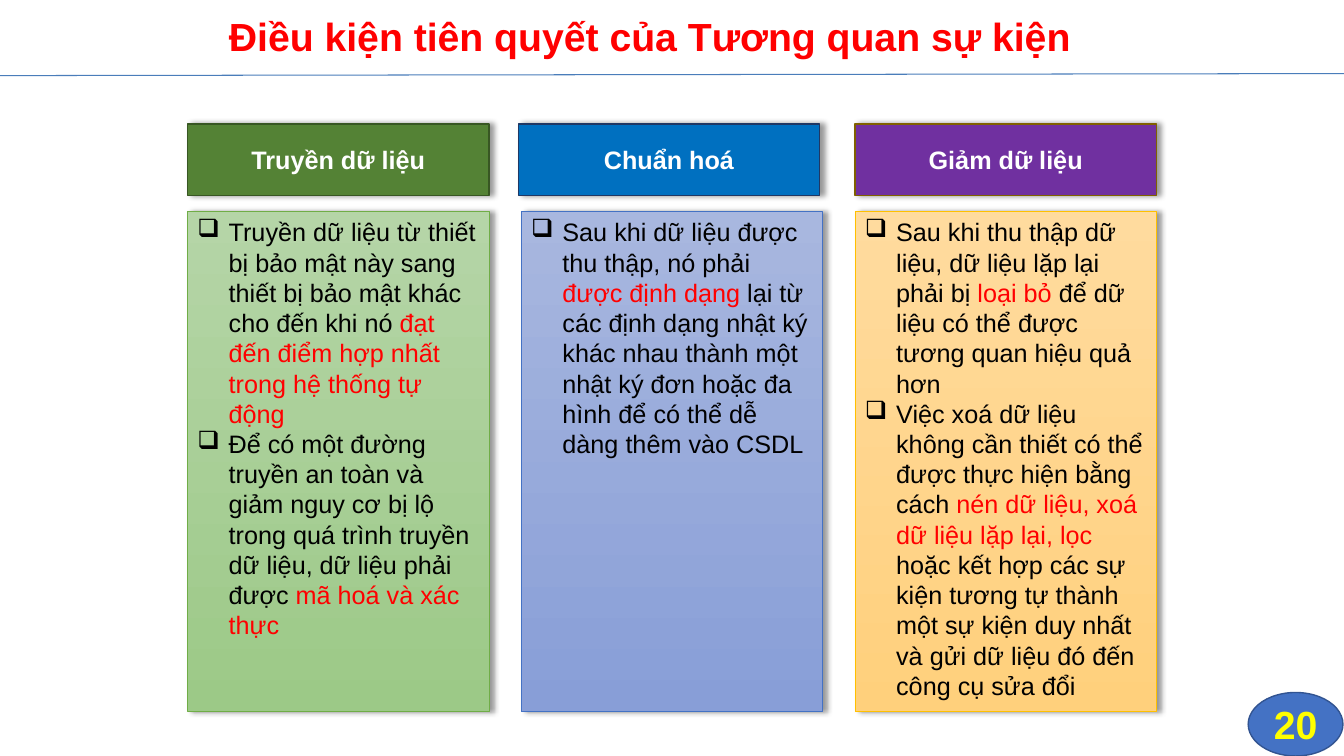
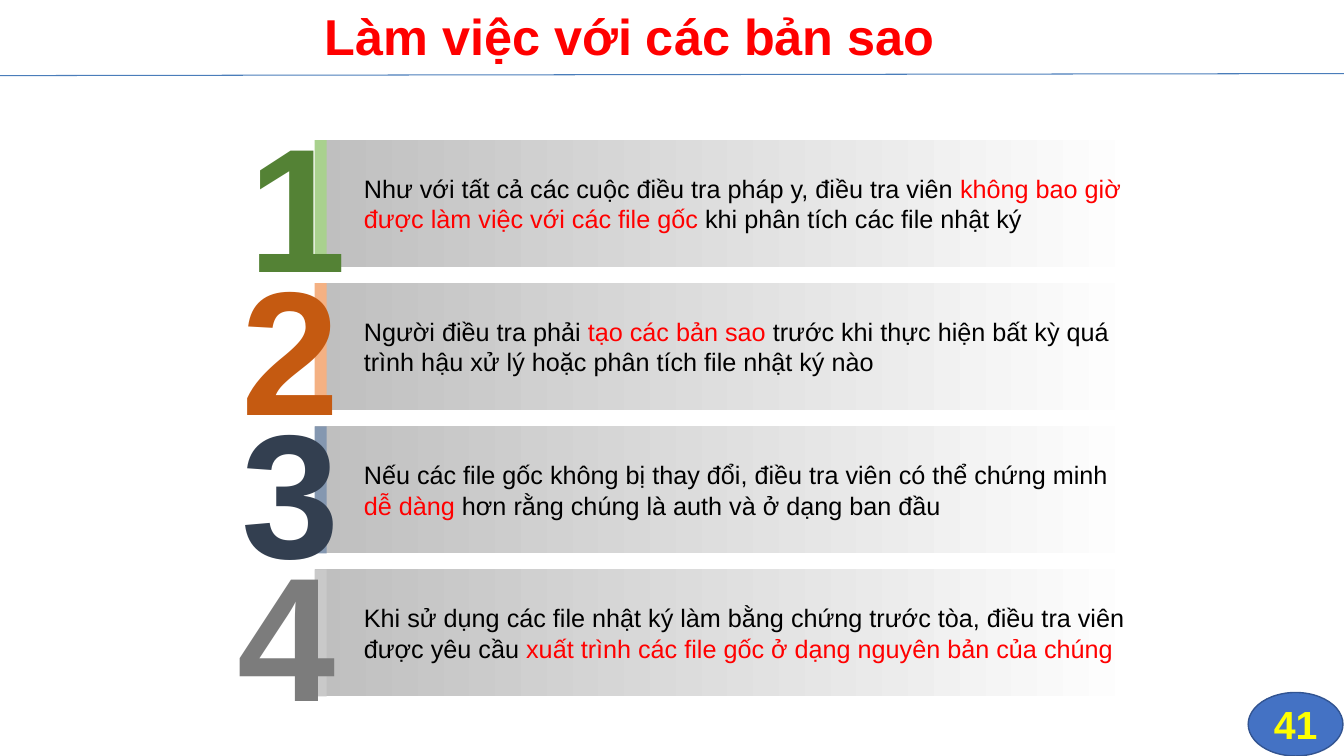
import pptx
import pptx.util
import pptx.dml.color
import pptx.enum.shapes
import pptx.enum.text
import pptx.oxml
import pptx.oxml.ns

Inches = pptx.util.Inches
Pt = pptx.util.Pt
SHAPE = pptx.enum.shapes.MSO_SHAPE
ALIGN = pptx.enum.text.PP_ALIGN
ANCHOR = pptx.enum.text.MSO_ANCHOR

FONT = "Arial"
RED, BLACK, WHITE, YELLOW = "FF0000", "000000", "FFFFFF", "FFFF00"
BADGE_FILL, BADGE_LINE, RULE = "4472C4", "325491", "4A7DBA"
SLIDE_W = 13.33

# heading, heading left, heading fill and line, body gradient, body line, items;
# in the items, every second part between bars is highlighted
COLUMNS = [
    ("Truyền dữ liệu", 1.86, "548235", "385723", ("B5D5A7", "9CC987"), "70AD47",
     ["Truyền dữ liệu từ thiết bị bảo mật này sang thiết bị bảo mật khác cho đến khi nó "
      "|đạt đến điểm hợp nhất trong hệ thống tự động",
      "Để có một đường truyền an toàn và giảm nguy cơ bị lộ trong quá trình truyền dữ liệu, "
      "dữ liệu phải được |mã hoá và xác thực"]),
    ("Chuẩn hoá", 5.14, "0070C0", "203864", ("A8B7DF", "889ED7"), "4472C4",
     ["Sau khi dữ liệu được thu thập, nó phải |được định dạng |lại từ các định dạng nhật ký "
      "khác nhau thành một nhật ký đơn hoặc đa hình để có thể dễ dàng thêm vào CSDL"]),
    ("Giảm dữ liệu", 8.48, "7030A0", "806000", ("FFDB9E", "FFD07C"), "FFC000",
     ["Sau khi thu thập dữ liệu, dữ liệu lặp lại phải bị |loại bỏ |để dữ liệu có thể được "
      "tương quan hiệu quả hơn",
      "Việc xoá dữ liệu không cần thiết có thể được thực hiện bằng cách "
      "|nén dữ liệu, xoá dữ liệu lặp lại, lọc |hoặc kết hợp các sự kiện tương tự thành "
      "một sự kiện duy nhất và gửi dữ liệu đó đến công cụ sửa đổi"]),
]

# number left, number colour, bar colour, text
ROWS = [
    (2.37, "548235", "A9D18E",
     "Như với tất cả các cuộc điều tra pháp y, điều tra viên |không bao giờ được làm việc "
     "với các file gốc |khi phân tích các file nhật ký"),
    (2.30, "C55A11", "F4B183",
     "Người điều tra phải |tạo các bản sao |trước khi thực hiện bất kỳ quá trình hậu xử lý "
     "hoặc phân tích file nhật ký nào"),
    (2.30, "333F50", "8497B0",
     "Nếu các file gốc không bị thay đổi, điều tra viên có thể chứng minh |dễ dàng "
     "|hơn rằng chúng là auth và ở dạng ban đầu"),
    (2.26, "7C7C7C", "C9C9C9",
     "Khi sử dụng các file nhật ký làm bằng chứng trước tòa, điều tra viên được yêu cầu "
     "|xuất trình các file gốc ở dạng nguyên bản của chúng"),
]


def rgb(color):
    return pptx.dml.color.RGBColor.from_string(color)


def style_font(font, size, color, bold=False):
    font.name = FONT
    font.size = Pt(size)
    font.bold = bold
    font.color.rgb = rgb(color)


def add_box(s, shape, left, top, width, height, fill, line=None, line_width=1):
    """Add a preset shape; fill is one colour, or a pair for a gradient."""
    sp = s.shapes.add_shape(shape, Inches(left), Inches(top), Inches(width), Inches(height))
    sp.shadow.inherit = False
    if isinstance(fill, tuple):
        sp.fill.gradient()
        for stop, color in zip(sp.fill.gradient_stops, fill):
            stop.color.rgb = rgb(color)
    else:
        sp.fill.solid()
        sp.fill.fore_color.rgb = rgb(fill)
    if line:
        sp.line.color.rgb = rgb(line)
        sp.line.width = Pt(line_width)
    else:
        sp.line.fill.background()
    return sp


def add_shadow(sp):
    effects = sp._element.spPr.find(pptx.oxml.ns.qn("a:effectLst"))
    effects.append(pptx.oxml.parse_xml(
        f'<a:outerShdw {pptx.oxml.ns.nsdecls("a")} blurRad="{Pt(4)}" dist="{Pt(3)}" dir="0" '
        'algn="l" rotWithShape="0"><a:srgbClr val="000000"><a:alpha val="40000"/></a:srgbClr>'
        '</a:outerShdw>'))


def set_label(sp, text, size, color):
    tf = sp.text_frame
    tf.text = text
    tf.vertical_anchor = ANCHOR.MIDDLE
    p = tf.paragraphs[0]
    p.alignment = ALIGN.CENTER
    style_font(p.runs[0].font, size, color, bold=True)


def set_marked_text(p, text, margin, bullet=None):
    """Fill a paragraph, with every second part between bars in red."""
    p.alignment = ALIGN.LEFT
    pPr = p._p.get_or_add_pPr()
    pPr.set("marL", str(Inches(margin)))
    if bullet:
        pPr.set("indent", str(-Inches(margin)))
        pPr.append(pptx.oxml.parse_xml(
            f'<a:buChar {pptx.oxml.ns.nsdecls("a")} char="{bullet}"/>'))
    for i, part in enumerate(text.split("|")):
        r = p.add_run()
        r.text = part
        style_font(r.font, 18, RED if i % 2 else BLACK)


def add_slide(prs, title, title_left, title_size, number):
    """Add a slide with its title, rule and number badge."""
    s = prs.slides.add_slide(prs.slide_layouts[5])
    sp = s.shapes.title
    sp.left, sp.top, sp.width, sp.height = (Inches(v) for v in (title_left, 0, 9, 0.77))
    tf = sp.text_frame
    tf.text = title
    tf.vertical_anchor = ANCHOR.MIDDLE
    p = tf.paragraphs[0]
    p.alignment = ALIGN.LEFT
    p.line_spacing = 0.9
    style_font(p.runs[0].font, title_size, RED, bold=True)

    rule = s.shapes.add_connector(pptx.enum.shapes.MSO_CONNECTOR.STRAIGHT,
                                  0, Inches(0.75), Inches(SLIDE_W), Inches(0.73))
    rule.line.color.rgb = rgb(RULE)
    rule.line.width = Pt(0.75)
    rule._element.spPr.append(pptx.oxml.parse_xml(
        f'<a:effectLst {pptx.oxml.ns.nsdecls("a")}/>'))

    badge = add_box(s, SHAPE.OVAL, 12.38, 6.87, 0.94, 0.63, BADGE_FILL, BADGE_LINE)
    set_label(badge, number, 28, YELLOW)
    return s


def add_column(s, left, heading, heading_left, fill, line, body_fill, body_line, items):
    width = 2.99
    body = add_box(s, SHAPE.RECTANGLE, left, 2.1, width, 4.96, body_fill, body_line, 0.5)
    body.fill.gradient_angle = 270
    add_shadow(body)
    tf = body.text_frame
    tf.vertical_anchor = ANCHOR.TOP
    for i, item in enumerate(items):
        p = tf.add_paragraph() if i else tf.paragraphs[0]
        set_marked_text(p, item, 0.31, "❑")

    head = add_box(s, SHAPE.RECTANGLE, heading_left, 1.23, width, 0.71, fill, line)
    add_shadow(head)
    set_label(head, heading, 18, WHITE)


def add_numbered_row(s, top, number, number_left, number_color, bar_color, text):
    left, height = 3.12, 1.26
    band = add_box(s, SHAPE.RECTANGLE, left, top, 8.19, height, ("BFBFBF", "FFFFFF"))
    band.fill.gradient_angle = 0
    band.text_frame.vertical_anchor = ANCHOR.MIDDLE
    set_marked_text(band.text_frame.paragraphs[0], text, 0.39)
    add_box(s, SHAPE.RECTANGLE, left, top, 0.12, height, bar_color)

    tb = s.shapes.add_textbox(Inches(number_left), Inches(top - 0.49), Inches(1.06), Inches(2.22))
    tf = tb.text_frame
    tf.word_wrap = True
    tf.auto_size = pptx.enum.text.MSO_AUTO_SIZE.SHAPE_TO_FIT_TEXT
    tf.text = str(number)
    p = tf.paragraphs[0]
    p.alignment = ALIGN.RIGHT
    style_font(p.runs[0].font, 126, number_color, bold=True)


def main():
    prs = pptx.Presentation()
    prs.slide_width, prs.slide_height = Inches(SLIDE_W), Inches(7.5)

    s = add_slide(prs, "Điều kiện tiên quyết của Tương quan sự kiện", 2.17, 28, "20")
    for i, column in enumerate(COLUMNS):
        add_column(s, 1.86 + 3.31 * i, *column)

    s = add_slide(prs, "Làm việc với các bản sao", 3.12, 36, "41")
    for i, row in enumerate(ROWS):
        add_numbered_row(s, 1.39 + 1.42 * i, i + 1, *row)

    prs.save("out.pptx")


if __name__ == "__main__":
    main()
